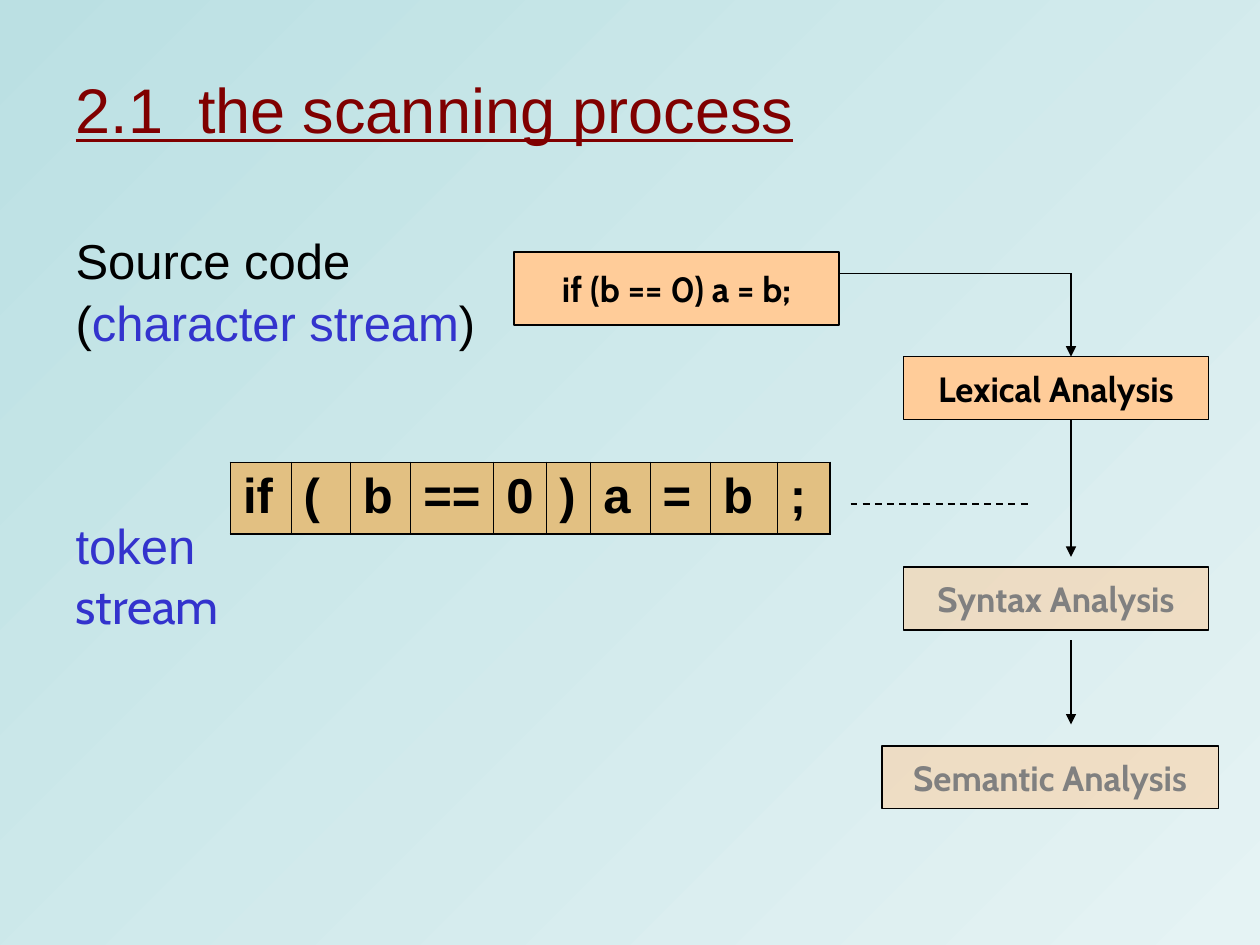
from pptx import Presentation
from pptx import util as u
from pptx.dml.color import RGBColor
from pptx.enum import dml, shapes, text
from pptx.oxml import ns, xmlchemy


def colour(hex_code):
    return RGBColor.from_string(hex_code)


def add_span(para, words, size, hex_code, font="Arial", bold=False):
    span = para.add_run()
    span.text = words
    span.font.name, span.font.size, span.font.bold = font, u.Pt(size), bold
    span.font.color.rgb = colour(hex_code)
    return span


deck = Presentation()
deck.slide_width, deck.slide_height = u.Inches(10), u.Inches(7.5)
page = deck.slides.add_slide(deck.slide_layouts[1])

backdrop = page.background.fill
backdrop.gradient()
backdrop.gradient_angle = 315
for stop, shade in zip(backdrop.gradient_stops, ["BBE0E3", "E5F3F4"]):
    stop.color.rgb = colour(shade)

# Title
title = page.shapes.title
title.left, title.top = u.Inches(0.5), u.Inches(0.17)
title.width, title.height = u.Inches(9.33), u.Inches(1.38)
title.text_frame.vertical_anchor = text.MSO_ANCHOR.MIDDLE
title.text_frame.auto_size = text.MSO_AUTO_SIZE.NONE
para = title.text_frame.paragraphs[0]
para.alignment = text.PP_ALIGN.LEFT
add_span(para, "2.1  the scanning process", 36, "800000").font.underline = True

# Labels on the left
BLACK, BLUE = "000000", "3333CD"
labels = [
    (0, [("Source code", BLACK, "Arial")]),
    (2, [("(", BLACK, "Arial"), ("character stream", BLUE, "Arial"), (")", BLACK, "Arial")]),
    (93.5, [("token", BLUE, "Arial")]),
    (1, [("stream", BLUE, "Cabin")]),
]
body = page.placeholders[1]
body.left, body.top = u.Inches(0.5), u.Inches(1.75)
body.width, body.height = u.Inches(9), u.Inches(4.95)
frame = body.text_frame
frame.auto_size = text.MSO_AUTO_SIZE.NONE
frame.margin_top = u.Inches(0.08)
for index, (gap, spans) in enumerate(labels):
    para = frame.add_paragraph() if index else frame.paragraphs[0]
    para.space_before = u.Pt(gap)
    props = para._p.get_or_add_pPr()
    props.set("marL", str(u.Inches(0.38)))
    props.set("indent", str(u.Inches(-0.38)))
    props.append(xmlchemy.OxmlElement("a:buNone"))
    for words, shade, font in spans:
        add_span(para, words, 28, shade, font)

# Source line and compiler phases; later phases are faded
boxes = [
    ("if (b == 0) a = b;", 4.08, 2, 2.58, 0.58, False),
    ("Lexical Analysis", 7.17, 2.83, 2.42, 0.5, False),
    ("Syntax Analysis", 7.17, 4.5, 2.42, 0.5, True),
    ("Semantic Analysis", 7, 5.92, 2.67, 0.5, True),
]
for words, left, top, width, height, faded in boxes:
    box = page.shapes.add_shape(shapes.MSO_SHAPE.RECTANGLE, u.Inches(left), u.Inches(top),
                                u.Inches(width), u.Inches(height))
    box.shadow.inherit = False
    box.fill.solid()
    box.fill.fore_color.rgb = colour("FFCC99")
    if faded:
        alpha = xmlchemy.OxmlElement("a:alpha")
        alpha.set("val", "50000")
        box._element.spPr.find(".//" + ns.qn("a:srgbClr")).append(alpha)
    box.line.color.rgb = colour(BLACK)
    box.line.width = u.Pt(0.75)
    box.text_frame.word_wrap = False
    box.text_frame.vertical_anchor = text.MSO_ANCHOR.MIDDLE
    para = box.text_frame.paragraphs[0]
    para.alignment = text.PP_ALIGN.CENTER
    add_span(para, words, 20, "808080" if faded else BLACK, "Cabin", True)

# Flow lines: start, end, arrowhead, dashed
flows = [
    (6.67, 2.17, 8.5, 2.17, False, False),
    (8.5, 2.17, 8.5, 2.83, True, False),
    (6.75, 4, 8.17, 4, False, True),
    (8.5, 3.33, 8.5, 4.42, True, False),
    (8.5, 5.08, 8.5, 5.75, True, False),
]
for x1, y1, x2, y2, arrow, dashed in flows:
    flow = page.shapes.add_connector(shapes.MSO_CONNECTOR.STRAIGHT, u.Inches(x1), u.Inches(y1),
                                     u.Inches(x2), u.Inches(y2))
    flow.line.color.rgb = colour(BLACK)
    flow.line.width = u.Pt(1 if dashed else 0.75)
    if dashed:
        flow.line.dash_style = dml.MSO_LINE.DASH
    if arrow:
        head = xmlchemy.OxmlElement("a:tailEnd")
        head.set("type", "triangle")
        flow.line._get_or_add_ln().append(head)
    flow._element.spPr.append(xmlchemy.OxmlElement("a:effectLst"))

# Token table
tokens = ["if", "(", "b", "==", "0", ")", "a", "=", "b", ";"]
widths = [0.48, 0.47, 0.48, 0.66, 0.42, 0.35, 0.47, 0.48, 0.53, 0.42]
table = page.shapes.add_table(1, len(tokens), u.Inches(1.83), u.Inches(3.67),
                              u.Inches(sum(widths)), u.Inches(0.57)).table
table.first_row = table.horz_banding = False
for index, (token, width) in enumerate(zip(tokens, widths)):
    table.columns[index].width = u.Inches(width)
    cell = table.cell(0, index)
    cell.margin_left = cell.margin_right = u.Inches(0.1)
    cell.margin_top = cell.margin_bottom = u.Inches(0.05)
    cell.text_frame.word_wrap = True
    add_span(cell.text_frame.paragraphs[0], token, 28, BLACK, bold=True)
    cell.fill.solid()
    cell.fill.fore_color.rgb = colour("E2C082")
    outer = {"L": index == 0, "R": index == len(tokens) - 1, "T": True, "B": True}
    for place, (side, thick) in enumerate(outer.items()):
        border = xmlchemy.OxmlElement("a:ln" + side)
        border.set("w", str(u.Pt(1.08 if thick else 0.45)))
        paint = xmlchemy.OxmlElement("a:solidFill")
        ink = xmlchemy.OxmlElement("a:srgbClr")
        ink.set("val", BLACK)
        paint.append(ink)
        border.append(paint)
        cell._tc.get_or_add_tcPr().insert(place, border)

deck.save("out.pptx")
